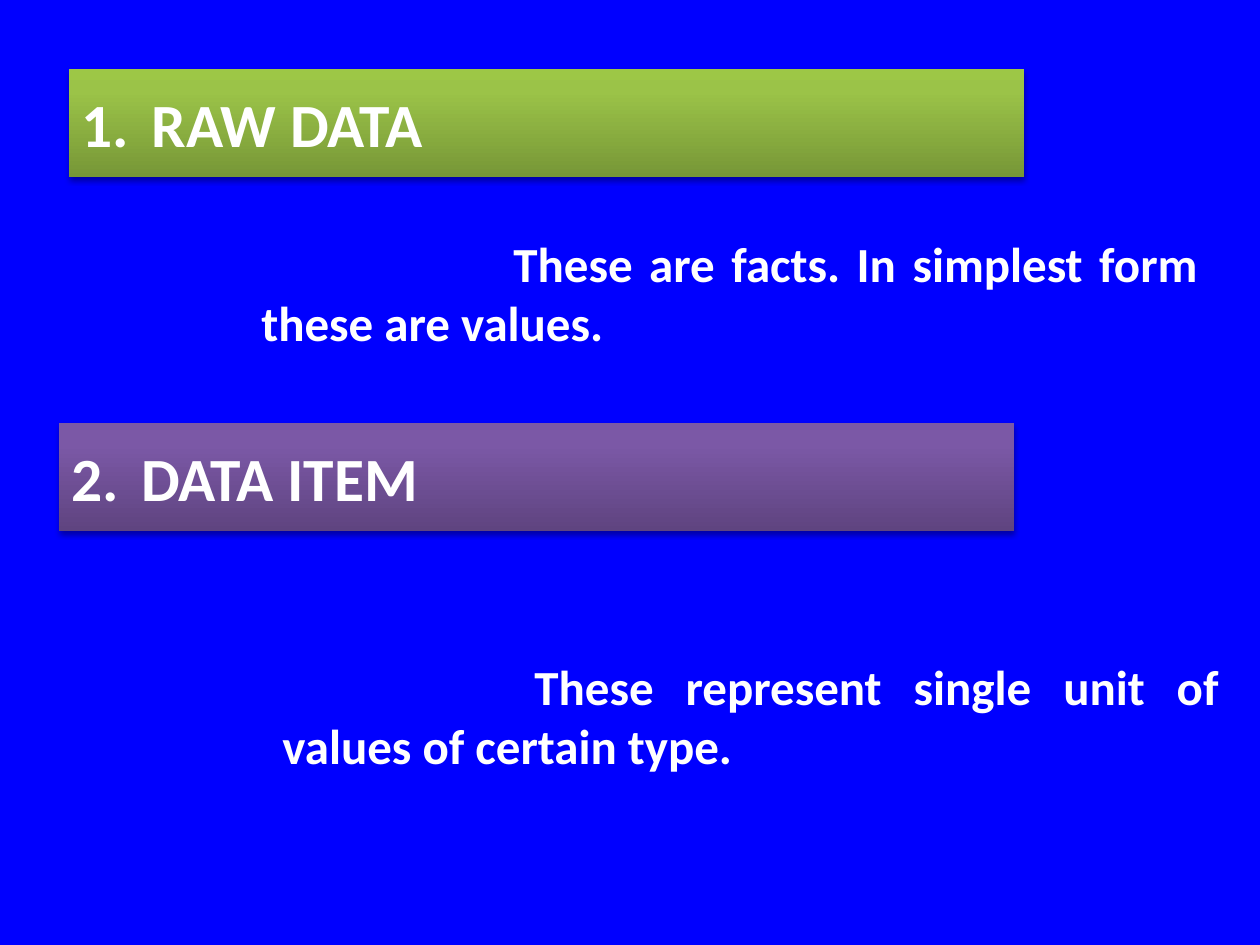
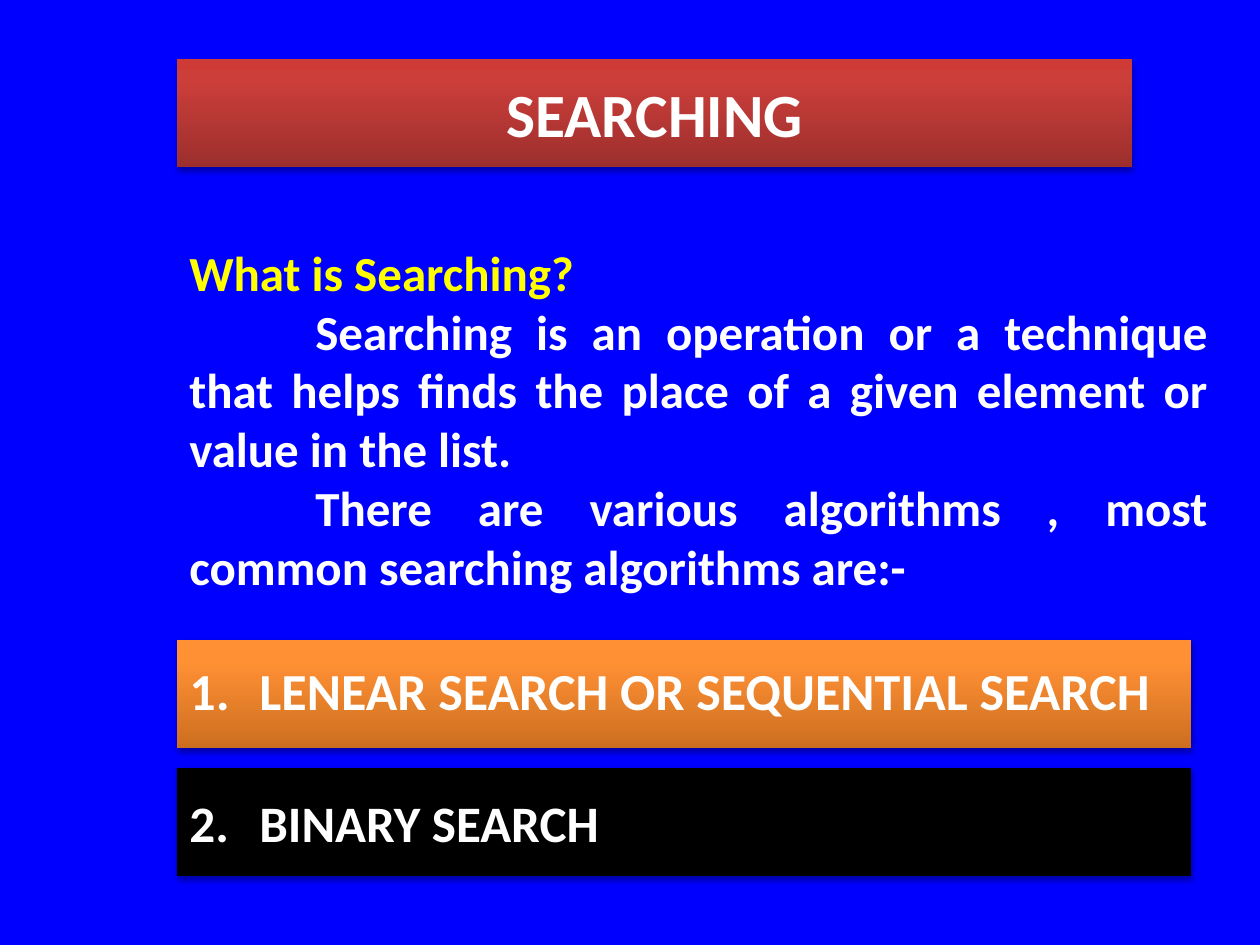
import copy
import dataclasses

import lxml.etree
import pptx
import pptx.dml.color
import pptx.enum.shapes
import pptx.enum.text
import pptx.oxml.ns
import pptx.util

PX = 914400 / 126
ALIGN = pptx.enum.text.PP_ALIGN
ANCHOR = pptx.enum.text.MSO_ANCHOR
RECTANGLE = pptx.enum.shapes.MSO_SHAPE.RECTANGLE


@dataclasses.dataclass(frozen=True)
class Theme:
    """Colours, type sizes and shared measures of the slides."""

    font: str = "Calibri"
    background: str = "0000FF"
    text: str = "FFFFFF"
    question: str = "FFFF00"
    shadow: str = "000000"
    green: tuple = ("779737", "9BC348", "9DC746")
    purple: tuple = ("5F4480", "7B58A6", "7C57A8")
    red: tuple = ("9C2F2D", "CB3E3A", "CE3B37")
    orange: tuple = ("CC6E20", "FF9034", "FF9136")
    black: tuple = ("000000",)
    stops: tuple = (0, 0.8, 1)
    heading_size: float = 35.1
    linear_size: float = 29.7
    binary_size: float = 29.2
    body_size: float = 28
    banner_width: int = 955
    banner_height: int = 108
    number_indent: int = 70
    tab: int = 126


THEME = Theme()


def emu(px):
    """Turn px into EMU."""
    return pptx.util.Emu(round(px * PX))


def rgb(code):
    """Turn a hex code into a colour."""
    return pptx.dml.color.RGBColor.from_string(code)


def place(shape, left, top, width, height):
    """Move and size a shape in px."""
    shape.left, shape.top = emu(left), emu(top)
    shape.width, shape.height = emu(width), emu(height)


def style_paragraph(paragraph, size, color, align, margin=0, indent=0):
    """Set type, alignment and indents of a paragraph."""
    paragraph.alignment = align
    properties = paragraph._p.get_or_add_pPr()
    properties.set("marL", str(emu(margin)))
    properties.set("indent", str(emu(indent)))
    for run in paragraph.runs:
        run.font.name = THEME.font
        run.font.size = pptx.util.Pt(size)
        run.font.bold = True
        run.font.color.rgb = rgb(color)


def fill_banner(shape, colors):
    """Fill a banner with one colour or a gradient rising from the bottom."""
    if len(colors) == 1:
        shape.fill.solid()
        shape.fill.fore_color.rgb = rgb(colors[0])
        return
    shape.fill.gradient()
    shape.fill.gradient_angle = 90
    stop_list = next(shape._element.spPr.iter(pptx.oxml.ns.qn("a:gsLst")))
    stop_list.append(copy.deepcopy(stop_list[0]))
    for stop, position, color in zip(shape.fill.gradient_stops, THEME.stops, colors):
        stop.position = position
        stop.color.rgb = rgb(color)


def cast_shadow(shape):
    """Give a shape a soft shadow straight below it."""
    qn = pptx.oxml.ns.qn
    shape.shadow.inherit = False
    effects = shape._element.spPr.find(qn("a:effectLst"))
    outer = lxml.etree.SubElement(
        effects, qn("a:outerShdw"), blurRad="40000", dist="23000", dir="5400000", rotWithShape="0"
    )
    color = lxml.etree.SubElement(outer, qn("a:srgbClr"), val=THEME.shadow)
    lxml.etree.SubElement(color, qn("a:alpha"), val="35000")


def format_banner(shape, text, left, top, colors, size=THEME.heading_size,
                  width=THEME.banner_width, centered=False):
    """Turn a shape into a shaded heading banner."""
    place(shape, left, top, width, THEME.banner_height)
    fill_banner(shape, colors)
    shape.line.fill.background()
    cast_shadow(shape)
    frame = shape.text_frame
    frame.text = text
    frame.word_wrap = True
    frame.auto_size = pptx.enum.text.MSO_AUTO_SIZE.NONE
    frame.vertical_anchor = ANCHOR.MIDDLE
    align = ALIGN.CENTER if centered else ALIGN.LEFT
    hanging = 0 if centered else THEME.number_indent
    style_paragraph(frame.paragraphs[0], size, THEME.text, align, hanging, -hanging)


def add_banner(slide, text, left, top, colors, **options):
    """Add a heading banner below the title."""
    banner = slide.shapes.add_shape(RECTANGLE, 0, 0, 0, 0)
    format_banner(banner, text, left, top, colors, **options)
    return banner


def add_body(slide, box, paragraphs, margin=0):
    """Add justified text from (text, colour, first-line indent) entries."""
    body = slide.shapes.add_textbox(0, 0, 0, 0)
    place(body, *box)
    frame = body.text_frame
    frame.word_wrap = True
    frame.text = "\n".join(text for text, _, _ in paragraphs)
    for paragraph, (_, color, indent) in zip(frame.paragraphs, paragraphs):
        style_paragraph(paragraph, THEME.body_size, color, ALIGN.JUSTIFY, margin, indent)


def add_definition(slide, text, left, top):
    """Add an indented definition of a data term."""
    add_body(slide, (left, top, 1063, 108), [(text, THEME.text, 2 * THEME.tab)], margin=102)


def build_data_terms(slide):
    """Build the slide on raw data and data items."""
    format_banner(slide.shapes.title, "1.\tRAW DATA", 69, 69, THEME.green)
    add_banner(slide, "2.\tDATA ITEM", 59, 423, THEME.purple)
    add_definition(slide, "These are facts. In simplest form these are values.", 147, 227)
    add_definition(slide, "These represent single unit of values of certain type.", 168, 650)


def build_searching(slide):
    """Build the slide on searching and its algorithms."""
    left = 177
    format_banner(slide.shapes.title, "SEARCHING", left, 59, THEME.red, centered=True)
    add_body(slide, (left, 236, 1043, 369), [
        ("What is Searching?", THEME.question, 0),
        ("Searching is an operation or a technique that helps finds the place "
         "of a given element or value in the list.", THEME.text, THEME.tab),
        ("There are various algorithms , most common searching algorithms are:-",
         THEME.text, THEME.tab),
    ])
    linear = add_banner(slide, "1.\tLENEAR SEARCH OR SEQUENTIAL SEARCH", left, 640,
                        THEME.orange, size=THEME.linear_size, width=1014)
    linear.text_frame.paragraphs[0].line_spacing = 0.9
    add_banner(slide, "2.\tBINARY SEARCH", left, 768,
               THEME.black, size=THEME.binary_size, width=1014)


def main():
    """Build and save the presentation."""
    deck = pptx.Presentation()
    deck.slide_width, deck.slide_height = emu(1260), emu(945)
    backdrop = deck.slide_master.background.fill
    backdrop.solid()
    backdrop.fore_color.rgb = rgb(THEME.background)
    title_only = deck.slide_layouts.get_by_name("Title Only")
    for build in (build_data_terms, build_searching):
        build(deck.slides.add_slide(title_only))
    deck.save("out.pptx")


if __name__ == "__main__":
    main()
